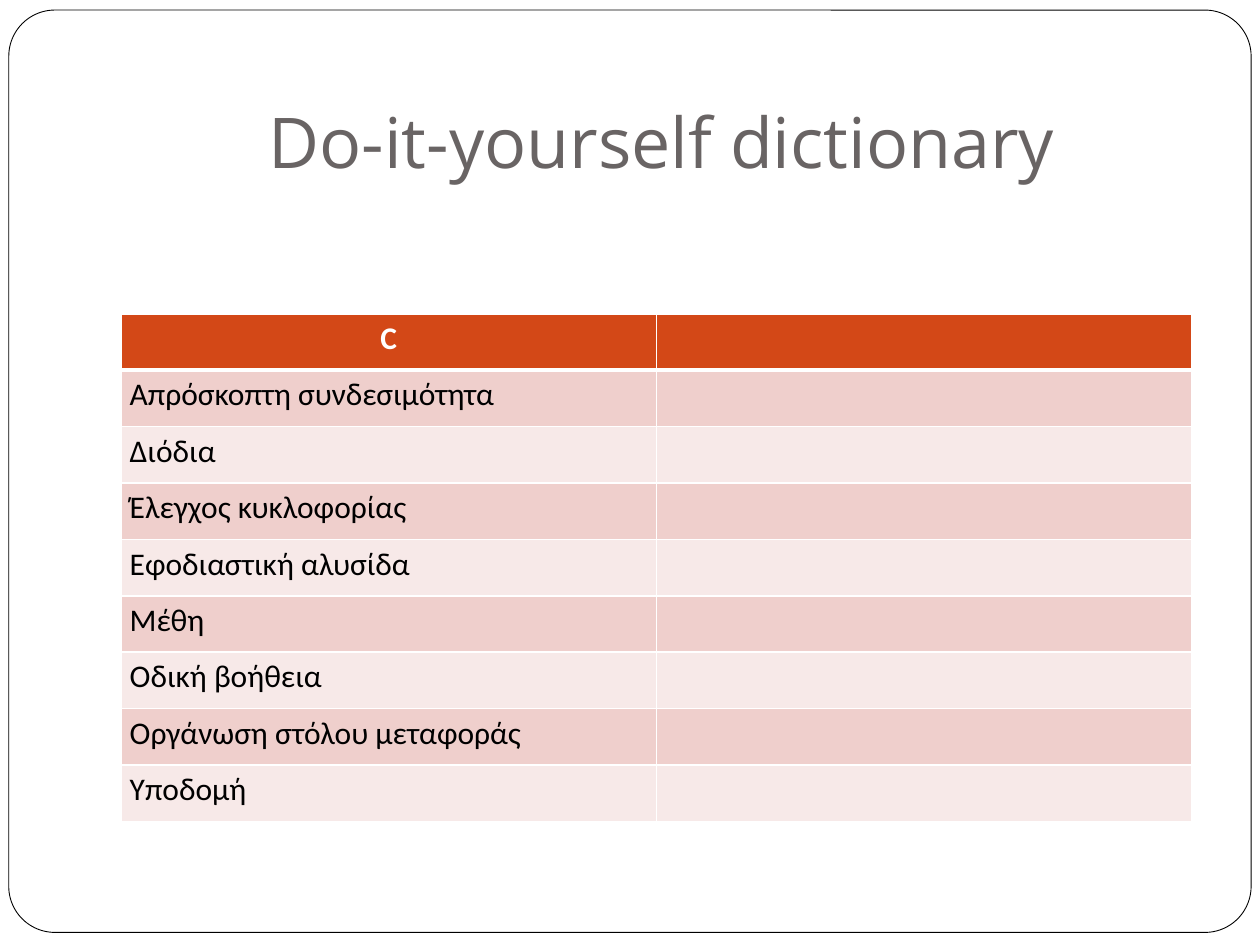
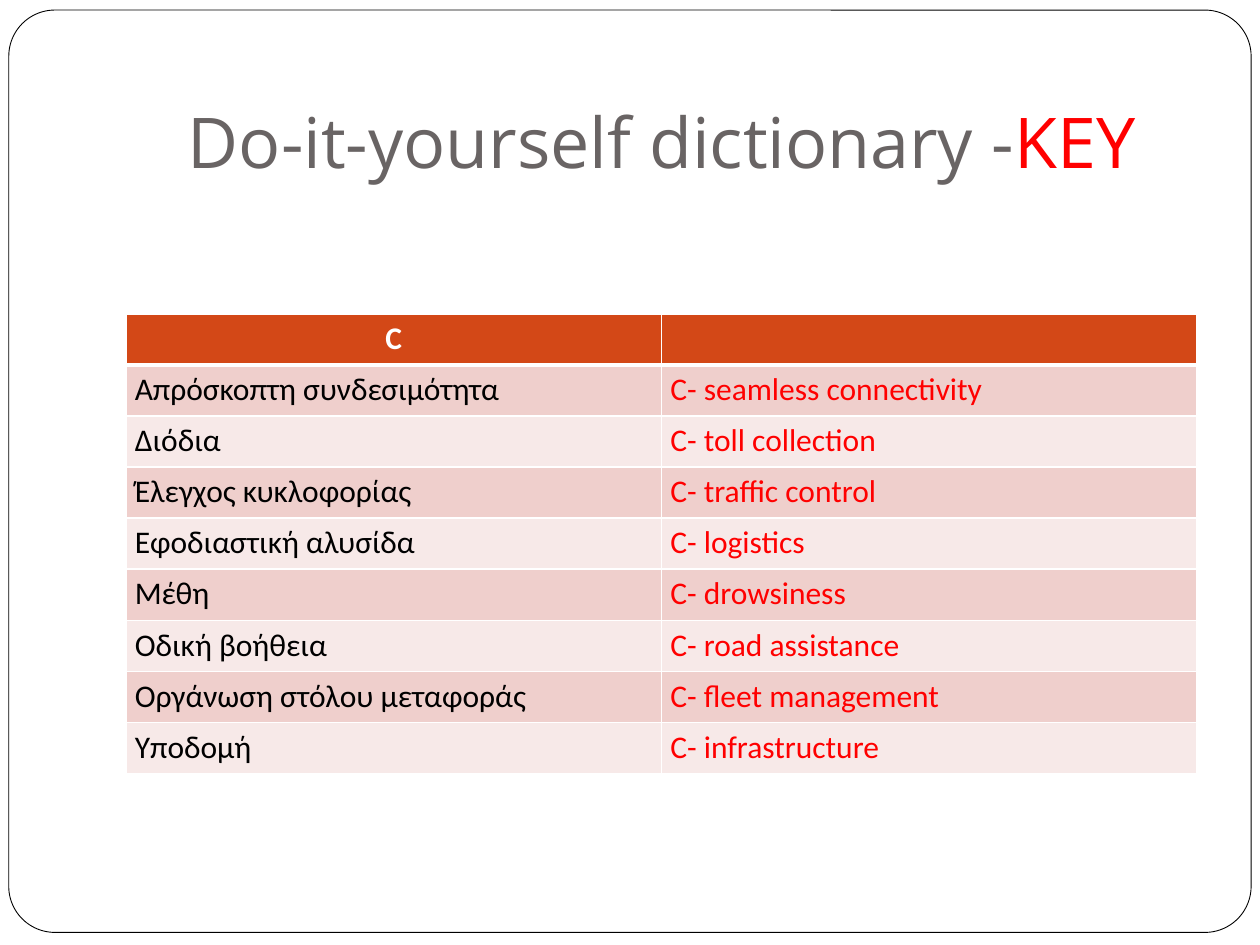
from dataclasses import dataclass

from lxml.etree import SubElement
from pptx import Presentation
from pptx.dml.color import RGBColor
from pptx.enum.shapes import MSO_SHAPE as Shape
from pptx.enum.text import MSO_ANCHOR as Anchor, MSO_AUTO_SIZE as AutoSize, PP_ALIGN as Align
from pptx.oxml import parse_xml
from pptx.oxml.ns import nsdecls, qn
from pptx.slide import Slide
from pptx.table import _Cell as Cell
from pptx.util import Inches, Pt

COLORS = {
    "paper": "FFFFFF",
    "ink": "000000",
    "title": "696464",
    "key": "FF0000",
    "header": "D34817",
    "band_dark": "EFCFCC",
    "band_light": "F7E9E8",
}
TITLE_FONT = "Open Sans"
TABLE_FONT = "Calibri"
TITLE_ONLY = 5

TERMS = [
    ("Απρόσκοπτη συνδεσιμότητα", "C- seamless connectivity"),
    ("Διόδια", "C- toll collection"),
    ("Έλεγχος κυκλοφορίας", "C- traffic control"),
    ("Εφοδιαστική αλυσίδα", "C- logistics"),
    ("Μέθη", "C- drowsiness"),
    ("Οδική βοήθεια", "C- road assistance"),
    ("Οργάνωση στόλου μεταφοράς", "C- fleet management"),
    ("Υποδομή", "C- infrastructure"),
]


@dataclass
class DictionarySlide:
    title_runs: list[tuple[str, str]]
    table_left: float
    table_height: float
    show_key: bool


SLIDES = [
    DictionarySlide([("Do-it-yourself dictionary", "title")], 0.96, 4.03, False),
    DictionarySlide(
        [("Do-it-yourself dictionary -", "title"), ("KEY", "key")], 1, 3.65, True
    ),
]


def rgb(name: str) -> RGBColor:
    return RGBColor.from_string(COLORS[name])


def add_frame(s: Slide) -> None:
    """Draw the rounded page border behind everything else."""
    sp = s.shapes.add_shape(
        Shape.ROUNDED_RECTANGLE, Inches(0.07), Inches(0.08), Inches(9.86), Inches(7.32)
    )
    sp.adjustments[0] = 0.05
    sp.shadow.inherit = False
    sp.fill.solid()
    sp.fill.fore_color.rgb = rgb("paper")
    sp.line.color.rgb = rgb("ink")
    sp.line.width = Pt(0.5)
    s.shapes.element.insert(2, sp.element)


def set_title(s: Slide, runs: list[tuple[str, str]]) -> None:
    title = s.shapes.title
    title.left, title.top = Inches(1), Inches(0.3)
    title.width, title.height = Inches(8.5), Inches(1.25)
    tf = title.text_frame
    tf.word_wrap = True
    tf.auto_size = AutoSize.NONE
    tf.vertical_anchor = Anchor.BOTTOM
    tf.margin_left = tf.margin_right = tf.margin_bottom = Inches(0.1)
    tf.margin_top = Inches(0.05)
    p = tf.paragraphs[0]
    p.alignment = Align.CENTER
    p.font.name, p.font.size = TITLE_FONT, Pt(40)
    for text, color in runs:
        r = p.add_run()
        r.text = text
        r.font.color.rgb = rgb(color)


def set_borders(cell: Cell, top: float, bottom: float) -> None:
    """Give the cell white borders; the widths are in points."""
    tc_pr = cell._tc.get_or_add_tcPr()
    widths = {"lnL": 1, "lnR": 1, "lnT": top, "lnB": bottom}
    for i, (side, width) in enumerate(widths.items()):
        ln = parse_xml(f'<a:{side} {nsdecls("a")} w="{Pt(width)}"/>')
        fill = SubElement(ln, qn("a:solidFill"))
        SubElement(fill, qn("a:srgbClr"), val=COLORS["paper"])
        tc_pr.insert(i, ln)


def fill_cell(cell: Cell, text: str, fill: str, color: str, header: bool) -> None:
    cell.fill.solid()
    cell.fill.fore_color.rgb = rgb(fill)
    cell.margin_left = cell.margin_right = Inches(0.07)
    cell.margin_top = cell.margin_bottom = 0
    cell.text = text
    p = cell.text_frame.paragraphs[0]
    p.alignment = Align.CENTER if header else Align.LEFT
    p.line_spacing = 1.15
    p.font.name, p.font.size, p.font.bold = TABLE_FONT, Pt(18), header
    p.font.color.rgb = rgb(color)


def add_dictionary(s: Slide, left: float, height: float, show_key: bool) -> None:
    rows = [("C", "")] + [(greek, english if show_key else "") for greek, english in TERMS]
    table = s.shapes.add_table(
        len(rows), 2, Inches(left), Inches(2.49), Inches(8.5), Inches(height)
    ).table
    table.horz_banding = False
    for i, row in enumerate(rows):
        table.rows[i].height = Inches(height / len(rows))
        header = i == 0
        fill = "header" if header else ("band_light", "band_dark")[i % 2]
        for j, text in enumerate(row):
            color = "paper" if header else ("ink", "key")[j]
            cell = table.cell(i, j)
            fill_cell(cell, text, fill, color, header)
            set_borders(cell, top=3 if i == 1 else 1, bottom=3 if header else 1)


def main() -> None:
    prs = Presentation()
    prs.slide_width, prs.slide_height = Inches(10), Inches(7.5)
    for page in SLIDES:
        s = prs.slides.add_slide(prs.slide_layouts[TITLE_ONLY])
        add_frame(s)
        set_title(s, page.title_runs)
        add_dictionary(s, page.table_left, page.table_height, page.show_key)
    prs.save("out.pptx")


if __name__ == "__main__":
    main()
